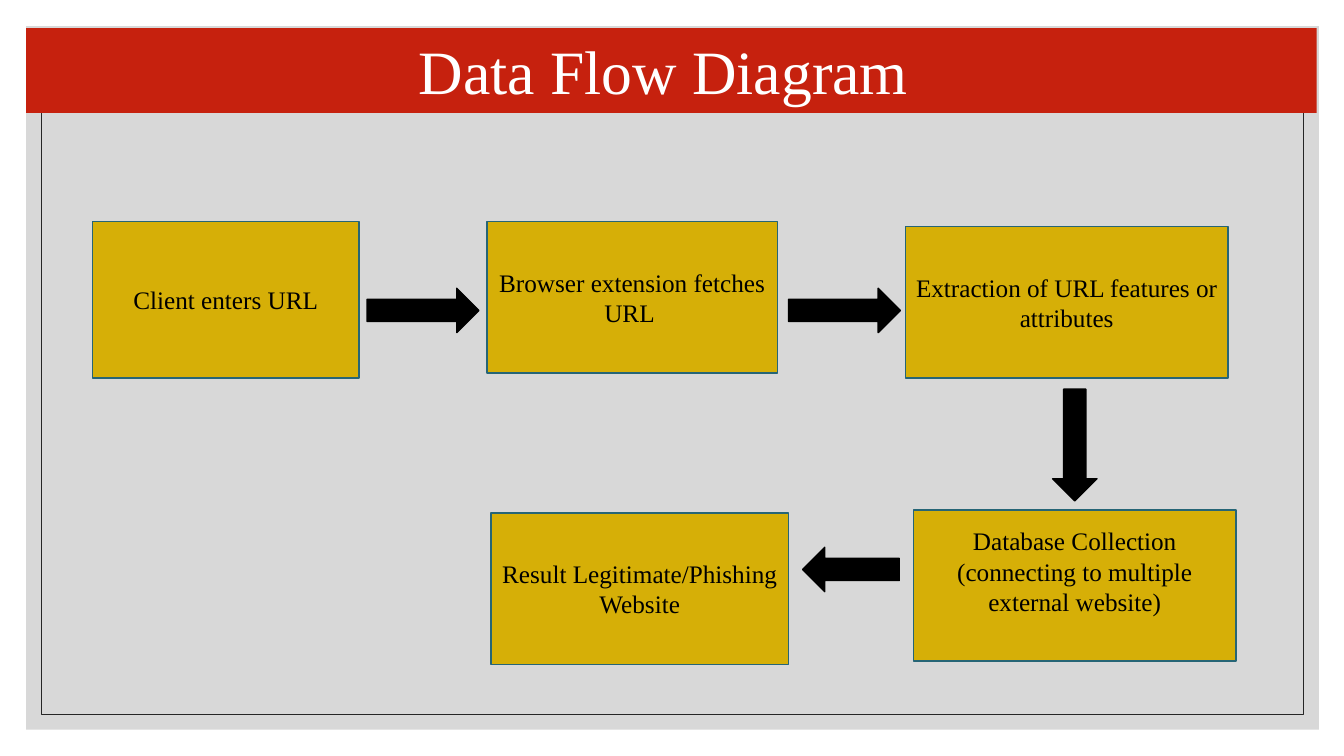
from dataclasses import dataclass

from lxml import etree
from pptx import Presentation
from pptx import util as u
from pptx.dml.color import RGBColor
from pptx.enum import shapes, text
from pptx.oxml.ns import qn

PX = 9144  # EMU per px, 100 px to the inch
FONT = "Times New Roman"
GOLD, TEAL, RED, BLACK, WHITE = "D6AF07", "266576", "C6210E", "000000", "FFFFFF"
Kind = shapes.MSO_SHAPE


@dataclass
class Step:
    label: str
    left: int
    top: int
    width: int
    height: int = 150
    bottom_inset: int = 5


@dataclass
class Arrow:
    kind: Kind
    left: int
    top: int
    width: int
    height: int


STEPS = [
    Step("Client enters URL", 92, 220, 264, 155),
    Step("Browser extension fetches URL ", 483, 220, 288),
    Step("Extraction of URL features or attributes", 898, 225, 320),
    Step("Database Collection (connecting to multiple external website)",
         906, 506, 320, bottom_inset=34),
    Step("Result Legitimate/Phishing Website", 487, 509, 295),
]

ARROWS = [
    Arrow(Kind.RIGHT_ARROW, 364, 286, 111, 44),
    Arrow(Kind.RIGHT_ARROW, 782, 286, 111, 44),
    Arrow(Kind.DOWN_ARROW, 1044, 386, 44, 111),
    Arrow(Kind.LEFT_ARROW, 796, 543, 96, 44),
]


def colour(code: str) -> RGBColor:
    return RGBColor.from_string(code)


def add_shape(page, kind: Kind, left: int, top: int, width: int, height: int,
              fill: str = "", line: str = "", line_width: float = 1):
    shape = page.shapes.add_shape(kind, *(n * PX for n in (left, top, width, height)))
    shape.shadow.inherit = False
    if fill:
        shape.fill.solid()
        shape.fill.fore_color.rgb = colour(fill)
    else:
        shape.fill.background()
    if line:
        shape.line.color.rgb = colour(line)
        shape.line.width = u.Pt(line_width)
    else:
        shape.line.fill.background()
    return shape


def write(shape, words: str, *, size: int, ink: str,
          anchor: text.MSO_ANCHOR = text.MSO_ANCHOR.MIDDLE, bottom_inset: int = 5) -> None:
    frame = shape.text_frame
    frame.word_wrap = True
    frame.vertical_anchor = anchor
    frame.margin_bottom = bottom_inset * PX
    para = frame.paragraphs[0]
    para.alignment = text.PP_ALIGN.CENTER
    span = para.add_run()
    span.text = words
    span.font.name = FONT
    span.font.size = u.Pt(size)
    span.font.color.rgb = colour(ink)


def set_opacity(shape, percent: int) -> None:
    tint = shape.fill._xPr.find(qn("a:solidFill"))[0]
    etree.SubElement(tint, qn("a:alpha")).set("val", str(percent * 1000))


def main() -> None:
    deck = Presentation()
    deck.slide_width, deck.slide_height = u.Inches(13.33), u.Inches(7.5)
    page = deck.slides.add_slide(deck.slide_layouts[6])

    # Grey panel and its thin frame
    panel = add_shape(page, Kind.RECTANGLE, 26, 26, 1282, 698, fill="BFBFBF")
    set_opacity(panel, 60)
    add_shape(page, Kind.RECTANGLE, 41, 41, 1252, 668, line="262626", line_width=0.5)

    # Title band
    band = add_shape(page, Kind.RECTANGLE, 26, 28, 1280, 84, fill=RED)
    write(band, "Data Flow Diagram ", size=44, ink=WHITE, anchor=text.MSO_ANCHOR.TOP)

    # Steps of the flow
    for step in STEPS:
        box = add_shape(page, Kind.RECTANGLE, step.left, step.top, step.width, step.height,
                        fill=GOLD, line=TEAL)
        write(box, step.label, size=18, ink=BLACK, bottom_inset=step.bottom_inset)

    # Block arrows between the steps
    for arrow in ARROWS:
        add_shape(page, arrow.kind, arrow.left, arrow.top, arrow.width, arrow.height,
                  fill=BLACK, line=BLACK)

    deck.save("out.pptx")


if __name__ == "__main__":
    main()
